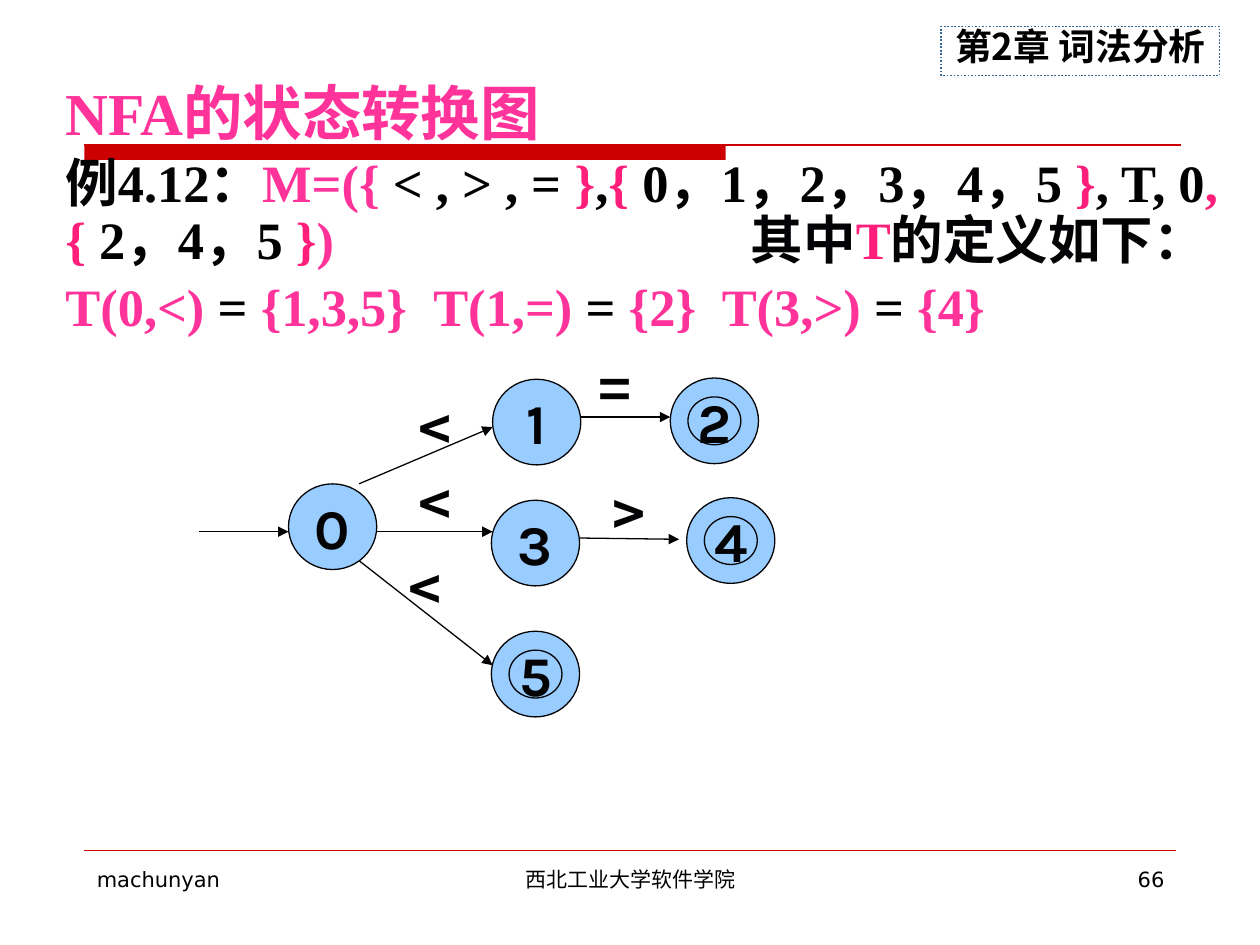
from lxml import etree
from pptx import Presentation
from pptx import util as u
from pptx.dml.color import RGBColor
from pptx.enum import dml, shapes, text
from pptx.oxml import ns

COLORS = {"red": "CC0000", "blue": "336699", "pink": "FF3399", "rose": "FF1F7A",
          "ink": "030305", "black": "000000", "node": "99CCFF"}
SERIF, DIGIT, SYMBOL = "Times New Roman", "Karla", "Noto Sans CJK SC"
CJK, FOOT = "Noto Sans CJK JP", "DejaVu Sans"

TITLE = "NFA的状态转换图"
# Each paragraph: tab stops in inches, then (text, colour) runs
BODY = [
    ([5.44], [("例4.12：", "ink"), ("M=({ ", "pink"), ("< , > , =", "black"),
              (" }", "rose"), (",", "black"), ("{ ", "rose"),
              ("0，1，2，3，4，5", "black"), (" }", "rose"), (", T, 0", "black"),
              (", { ", "rose"), ("2，4，5", "black"), (" }", "rose"),
              (")\t", "pink"), ("其中", "ink"), ("T", "rose"), ("的定义如下：", "ink")]),
    ([2.92, 5.21], [("T(0,<) ", "pink"), ("= ", "black"), ("{1,3,5}\tT(1,=) ", "pink"),
                    ("= ", "black"), ("{2}\tT(3,>) ", "pink"), ("= ", "black"),
                    ("{4}", "pink")]),
]
# State: (centre x, centre y, accepting)
STATES = {"0": (2.64, 4.18, False), "1": (4.26, 3.35, False), "2": (5.67, 3.34, True),
          "3": (4.25, 4.31, False), "4": (5.8, 4.29, True), "5": (4.25, 5.35, True)}
NODE, RING = (0.7, 0.68), (0.42, 0.38)
# Transition: from, to, symbol, symbol centre
EDGES = [((1.58, 4.22), (2.29, 4.22), None, None),
         ((2.85, 3.84), (3.91, 3.39), "<", (3.42, 3.4)),
         ((2.99, 4.22), (3.91, 4.22), "<", (3.42, 3.99)),
         ((2.85, 4.45), (3.91, 5.28), "<", (3.34, 4.67)),
         ((4.61, 3.31), (5.32, 3.31), "=", (4.85, 3.08)),
         ((4.58, 4.27), (5.39, 4.28), ">", (4.96, 4.07))]
FOOTER = [("machunyan", 0.67, 2.17, text.PP_ALIGN.LEFT),
          ("西北工业大学软件学院", 3.42, 3.17, text.PP_ALIGN.CENTER),
          ("66", 7.17, 2.17, text.PP_ALIGN.RIGHT)]

prs = Presentation()
prs.slide_width, prs.slide_height = u.Inches(10), u.Inches(7.5)
s = prs.slides.add_slide(prs.slide_layouts[5])


def inches(*values):
    return [u.Inches(v) for v in values]


def rgb(name):
    return RGBColor.from_string(COLORS[name])


def style(p, size, font, color=None, bold=True, align=None):
    p.font.size, p.font.name, p.font.bold = u.Pt(size), font, bold
    p.alignment = align
    if color:
        p.font.color.rgb = rgb(color)


def label(sp, content, size, font, color):
    tf = sp.text_frame
    tf.word_wrap = False
    tf.vertical_anchor = text.MSO_ANCHOR.MIDDLE
    tf.margin_left = tf.margin_right = tf.margin_top = tf.margin_bottom = 0
    p = tf.paragraphs[0]
    p.text = content
    style(p, size, font, color, align=text.PP_ALIGN.CENTER)
    return p


def shape(kind, box, fill=None, line=None, width=0.75):
    sp = s.shapes.add_shape(kind, *inches(*box))
    sp.shadow.inherit = False
    if fill:
        sp.fill.solid()
        sp.fill.fore_color.rgb = rgb(fill)
    else:
        sp.fill.background()
    if line:
        sp.line.color.rgb = rgb(line)
        sp.line.width = u.Pt(width)
    else:
        sp.line.fill.background()
    return sp


def line(start, end, color, width=0.75, arrow=False):
    c = s.shapes.add_connector(shapes.MSO_CONNECTOR.STRAIGHT, *inches(*start, *end))
    c.line.color.rgb = rgb(color)
    c.line.width = u.Pt(width)
    if arrow:
        etree.SubElement(c.line._get_or_add_ln(), ns.qn("a:tailEnd"), type="triangle")
    etree.SubElement(c._element.spPr, ns.qn("a:effectLst"))


def centred(cx, cy, w, h):
    return cx - w / 2, cy - h / 2, w, h


# Red rules and chapter tag
shape(shapes.MSO_SHAPE.RECTANGLE, (0.67, 1.15, 5.09, 0.12), "red")
line((0.67, 1.15), (9.37, 1.15), "red")
line((0.67, 6.75), (9.33, 6.75), "red", 0.25)
tag = shape(shapes.MSO_SHAPE.RECTANGLE, (7.47, 0.21, 2.21, 0.39), line="blue", width=1)
tag.line.dash_style = dml.MSO_LINE.ROUND_DOT
p = label(tag, "第2章 词法分析", 21, CJK, "black")
p.line_spacing = 0.75
etree.SubElement(p.runs[0]._r.get_or_add_rPr(), ns.qn("a:ea"), typeface=CJK)

# Title
title = s.shapes.title
title.left, title.top, title.width, title.height = inches(0.42, 0.62, 9.58, 0.58)
tf = title.text_frame
tf.text = TITLE
tf.auto_size = text.MSO_AUTO_SIZE.NONE
tf.vertical_anchor = text.MSO_ANCHOR.TOP
p = tf.paragraphs[0]
p.line_spacing = 0.9
style(p, 34, SERIF, "pink", align=text.PP_ALIGN.LEFT)

# Definition of the automaton
tf = s.shapes.add_textbox(*inches(0.42, 1.2, 9.58, 1.69)).text_frame
tf.word_wrap = True
for i, (tabs, runs) in enumerate(BODY):
    p = tf.add_paragraph() if i else tf.paragraphs[0]
    p.line_spacing = 0.9
    p.space_before = u.Pt(6 if i else 0)
    tab_list = etree.SubElement(p._p.get_or_add_pPr(), ns.qn("a:tabLst"))
    for pos in tabs:
        etree.SubElement(tab_list, ns.qn("a:tab"), pos=str(u.Inches(pos)), algn="l")
    style(p, 30, SERIF)
    for content, color in runs:
        r = p.add_run()
        r.text = content
        r.font.color.rgb = rgb(color)

# Transitions
for start, end, symbol, centre in EDGES:
    line(start, end, "ink", arrow=True)
    if symbol:
        box = s.shapes.add_textbox(*inches(*centred(*centre, 0.2, 0.3)))
        label(box, symbol, 32, SYMBOL, "ink")

# States, with an inner ring on accepting ones
for name, (cx, cy, accepting) in STATES.items():
    for size in (NODE, RING) if accepting else (NODE,):
        sp = shape(shapes.MSO_SHAPE.OVAL, centred(cx, cy, *size), "node", "ink")
    label(sp, name, 32, DIGIT, "ink")

# Footer
for content, left, width, align in FOOTER:
    tf = s.shapes.add_textbox(*inches(left, 6.83, width, 0.52)).text_frame
    tf.word_wrap = True
    tf.text = content
    style(tf.paragraphs[0], 12, FOOT, "black", False, align)

prs.save("out.pptx")
